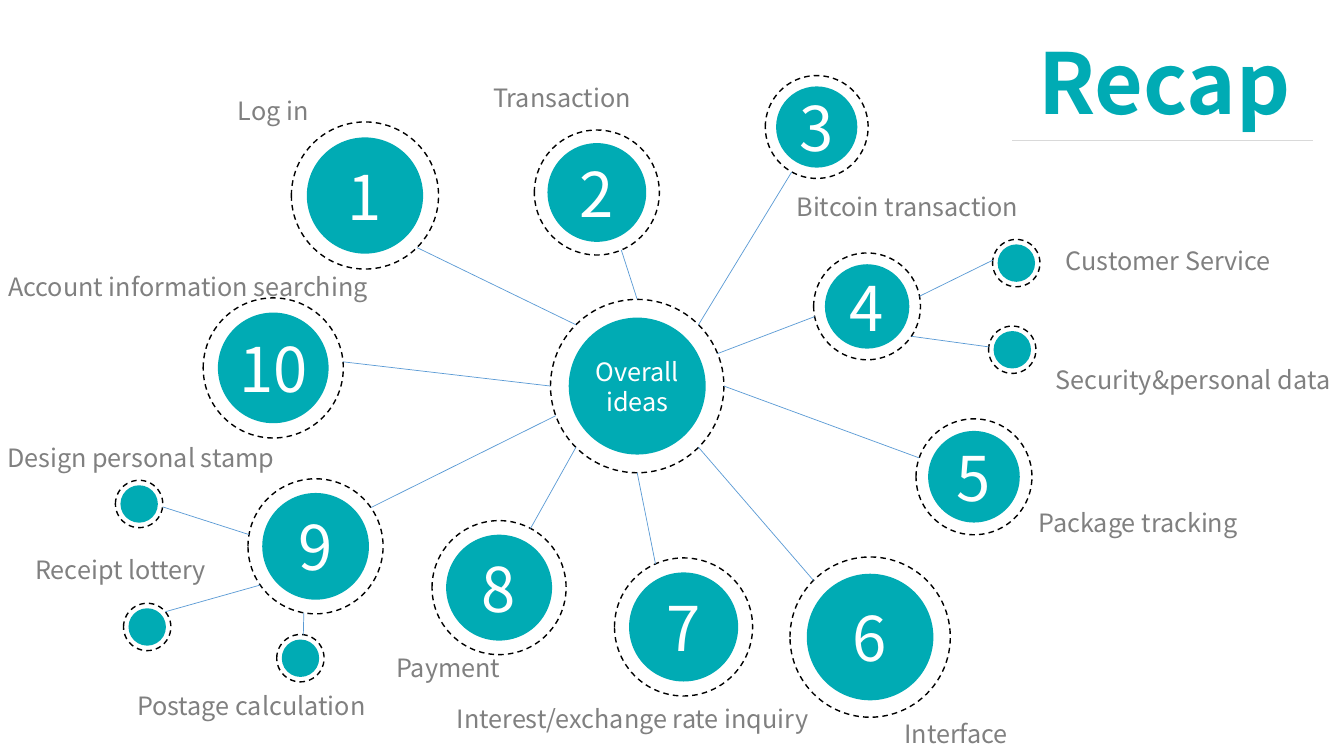
from math import cos, radians, sin

from lxml.etree import SubElement
from pptx import Presentation
from pptx.dml.color import RGBColor
from pptx.enum.dml import MSO_LINE as Dash
from pptx.enum.shapes import MSO_CONNECTOR as Conn, MSO_SHAPE as Shape
from pptx.enum.text import MSO_ANCHOR as Anchor, PP_ALIGN as Align
from pptx.oxml.ns import qn
from pptx.util import Pt

PX = 9144
TEAL = RGBColor(0x00, 0xAB, 0xB4)
WHITE = RGBColor(0xFF, 0xFF, 0xFF)
BLACK = RGBColor(0x00, 0x00, 0x00)
GRAY = RGBColor(0x80, 0x80, 0x80)
PALE = RGBColor(0xD9, 0xD9, 0xD9)
BLUE = RGBColor(0x5B, 0x9B, 0xD5)
FACE = "Noto Sans CJK SC"
CORE = 0.79

HUB = {"name": "Overall ideas", "size": 18}
TITLE = {"size": Pt(60), "bold": True}
PLAIN = {"size": Pt(18), "bold": False}
DIGIT = {"size": Pt(44), "bold": False}

# name: (centre x, centre y, ring width)
NODES = {
    "hub": (632, 383, 172),
    "1": (362, 194, 146),
    "2": (592, 191, 124),
    "3": (810, 126, 102),
    "4": (860, 304, 106),
    "5": (966, 473, 115),
    "6": (863, 632, 159),
    "7": (678, 622, 137),
    "8": (495, 583, 133),
    "9": (313, 542, 134),
    "10": (271, 365, 139),
    "post": (298, 653, 47),
    "prize": (146, 622, 47),
    "stamp": (138, 500, 47),
    "help": (1008, 261, 47),
    "safe": (1004, 347, 47),
}

LINKS = [
    ("hub", 225, "1", 45),
    ("hub", 270, "2", 67),
    ("hub", 315, "3", 119),
    ("hub", 338, "4", 169),
    ("hub", 0, "5", 199),
    ("hub", 45, "6", 225),
    ("hub", 90, "7", 246),
    ("hub", 135, "8", 298),
    ("hub", 160, "9", 325),
    ("hub", 180, "10", 355),
    ("9", 100, "post", 277),
    ("9", 145, "prize", 320),
    ("9", 190, "stamp", 7),
    ("4", 349, "help", 187),
    ("4", 34, "safe", 187),
]

LABELS = [
    ("Log in", 236, 90, 75),
    ("Transaction", 489, 77, 138),
    ("Bitcoin transaction", 790, 185, 225),
    ("Customer Service", 1057, 238, 212),
    ("Security&personal data", 1047, 357, 284),
    ("Package tracking", 1030, 498, 205),
    ("Interface", 897, 708, 107),
    ("Interest/exchange rate inquiry", 453, 693, 365),
    ("Payment", 393, 642, 105),
    ("Postage calculation", 136, 680, 234),
    ("Receipt lottery", 35, 545, 177),
    ("Design personal stamp", 7, 434, 285),
    ("Account information searching", 8, 264, 373),
]


def place(x, y, w, h):
    return [round(v * PX) for v in (x, y, w, h)]


def write(frame, text, color, style, align, wrap=False, pad=0):
    frame.word_wrap = wrap
    for side, gap in {"left": pad, "right": pad, "top": 5, "bottom": 5}.items():
        setattr(frame, "margin_" + side, gap * PX)
    frame.text = text
    for para in frame.paragraphs:
        para.alignment = align
        font = para.runs[0].font
        font.name = FACE
        font.color.rgb = color
        for key, val in style.items():
            setattr(font, key, val)


def draw_line(slide, start, end, color):
    ends = [round(v * PX) for v in (*start, *end)]
    line = slide.shapes.add_connector(Conn.STRAIGHT, *ends)
    line.line.color.rgb = color
    line.line.width = Pt(0.5)
    SubElement(line._element.spPr, qn("a:effectLst"))


def draw_disc(slide, x, y, width):
    box = place(x - width / 2, y - width / 2, width, width)
    disc = slide.shapes.add_shape(Shape.OVAL, *box)
    disc.shadow.inherit = False
    return disc


def draw_node(slide, x, y, width, text, style):
    disc = draw_disc(slide, x, y, width * CORE)
    disc.fill.solid()
    disc.fill.fore_color.rgb = TEAL
    disc.line.fill.background()
    if text:
        disc.text_frame.vertical_anchor = Anchor.MIDDLE
        write(disc.text_frame, text, WHITE, style, Align.CENTER)
    ring = draw_disc(slide, x, y, width)
    ring.fill.background()
    ring.line.color.rgb = BLACK
    ring.line.width = Pt(1)
    ring.line.dash_style = Dash.DASH


def draw_map(slide, left, top):
    def rim(name, turn):
        x, y, width = NODES[name]
        angle = radians(turn)
        return (left + x + width / 2 * cos(angle),
                top + y + width / 2 * sin(angle))

    for name, (x, y, width) in NODES.items():
        text = "Overall\nideas" if name == "hub" else name if name.isdigit() else ""
        style = PLAIN if name == "hub" else DIGIT
        draw_node(slide, left + x, top + y, width, text, style)
    for near, out, far, back in LINKS:
        draw_line(slide, rim(near, out), rim(far, back), BLUE)
    for text, x, y, width in LABELS:
        label = slide.shapes.add_textbox(*place(left + x, top + y, width, 40))
        write(label.text_frame, text, GRAY, PLAIN, Align.LEFT)


def draw_title(slide, left, top, width, height):
    title = slide.shapes.title
    title.left, title.top, title.width, title.height = place(left, top, width, height)
    title.text_frame.vertical_anchor = Anchor.TOP
    write(title.text_frame, "Recap", TEAL, TITLE, Align.LEFT, True, 10)
    base = top + height + 3
    draw_line(slide, (left - 16, base), (left + width - 27, base), PALE)


def main():
    deck = Presentation()
    deck.slide_width, deck.slide_height = 1333 * PX, 750 * PX
    slide = deck.slides.add_slide(deck.slide_layouts[5])
    draw_map(slide, 0, 0)
    draw_title(slide, 1020, 25, 309, 111)
    deck.save("out.pptx")


if __name__ == "__main__":
    main()
